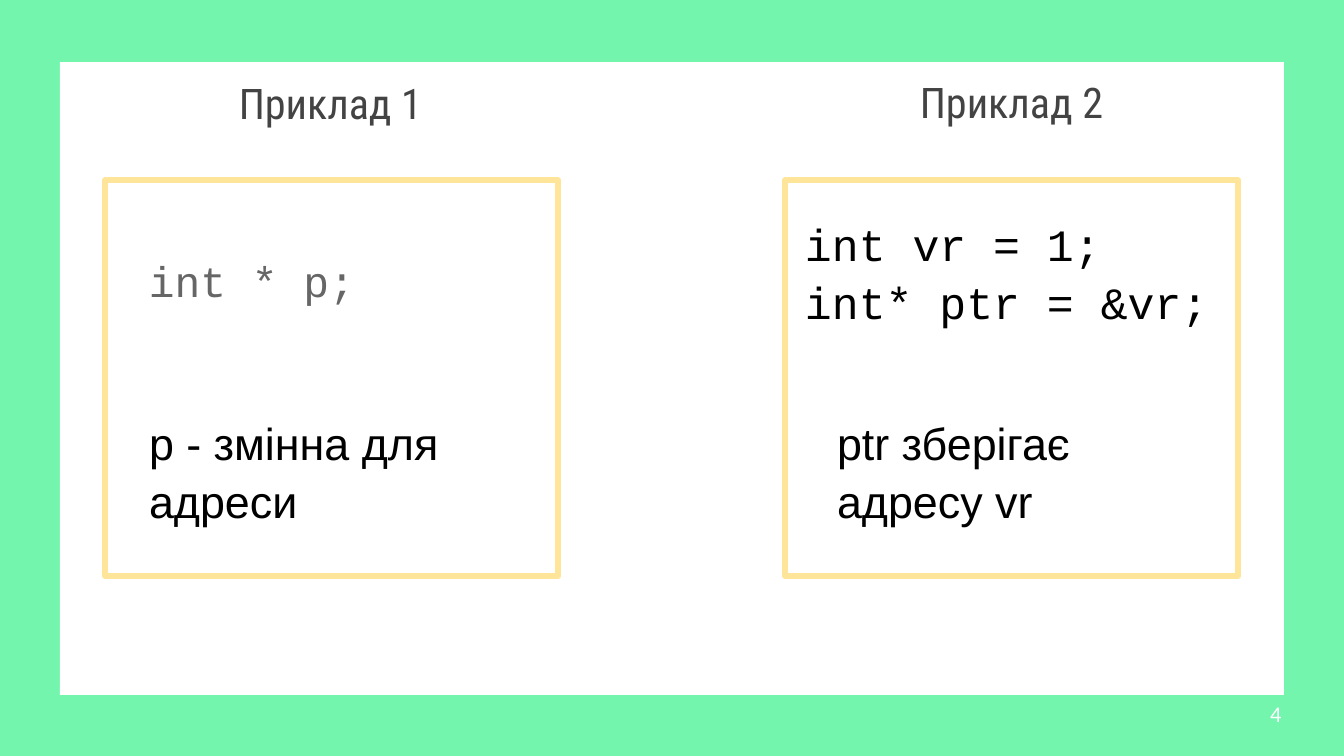
import pptx
import pptx.util
import pptx.dml.color
import pptx.enum.shapes
import pptx.enum.text
import pptx.oxml.ns
import lxml.etree

SCALE = 914400 / 134.4  # EMU in one px
WIDTH, HEIGHT = 1344, 756
MINT, WHITE, SAND, BLACK = "73F5AD", "FFFFFF", "FFE599", "000000"

PANEL = (60, 62, 1224, 633)
FRAMES = [(105, 180, 453, 396), (785, 180, 453, 396)]

HEAD = dict(size=22.6, font="Roboto Condensed", color="434343",
            center=True, middle=True, pad=7)
CODE = dict(font="Courier New", spacing=1.07)
NOTE = dict(size=24, font="Arial", spacing=1.07)
PAGE = dict(size=12, font="Calibri", color=WHITE, middle=True)

TEXTS = [
    ("Приклад 1", (110, 74, 441, 58), HEAD),
    ("Приклад 2", (785, 20, 453, 164), HEAD),
    ("int * p;", (136, 238, 327, 177), dict(CODE, size=23, color="666666")),
    ("int vr = 1;\nint* ptr = &vr;", (792, 200, 441, 441), dict(CODE, size=24)),
    ("p - змінна для адреси", (136, 399, 375, 164), NOTE),
    ("ptr зберігає адресу vr", (824, 399, 375, 164), NOTE),
    ("4", (1257, 685, 81, 58), PAGE),
]


def px(count):
    return pptx.util.Emu(round(count * SCALE))


def rgb(code):
    return pptx.dml.color.RGBColor.from_string(code)


def add_rect(slide, box, fill=None, line=None):
    shape = slide.shapes.add_shape(
        pptx.enum.shapes.MSO_SHAPE.RECTANGLE, *map(px, box))
    shape.shadow.inherit = False
    if fill:
        shape.fill.solid()
        shape.fill.fore_color.rgb = rgb(fill)
    else:
        shape.fill.background()
    if line:
        shape.line.color.rgb = rgb(line)
        shape.line.width = pptx.util.Pt(3)
        outline = shape.line._get_or_add_ln()
        lxml.etree.SubElement(outline, pptx.oxml.ns.qn("a:round"))
    else:
        shape.line.fill.background()


def add_text(slide, text, box, size, font, color=BLACK, center=False,
             middle=False, pad=13, spacing=1.0):
    """Add a text box with one paragraph for each line of text."""
    frame = slide.shapes.add_textbox(*map(px, box)).text_frame
    frame.word_wrap = True
    frame.margin_left = frame.margin_right = px(13)
    frame.margin_top = frame.margin_bottom = px(pad)
    anchor = pptx.enum.text.MSO_ANCHOR
    frame.vertical_anchor = anchor.MIDDLE if middle else anchor.TOP
    frame.text = text
    align = pptx.enum.text.PP_ALIGN
    for para in frame.paragraphs:
        para.alignment = align.CENTER if center else align.LEFT
        para.line_spacing = spacing
        for run in para.runs:
            run.font.size = pptx.util.Pt(size)
            run.font.name = font
            run.font.color.rgb = rgb(color)


def main():
    deck = pptx.Presentation()
    deck.slide_width, deck.slide_height = px(WIDTH), px(HEIGHT)
    slide = deck.slides.add_slide(deck.slide_layouts[6])
    slide.background.fill.solid()
    slide.background.fill.fore_color.rgb = rgb(MINT)

    add_rect(slide, PANEL, fill=WHITE)
    for box in FRAMES:
        add_rect(slide, box, line=SAND)
    for text, box, style in TEXTS:
        add_text(slide, text, box, **style)
    deck.save("out.pptx")


if __name__ == "__main__":
    main()
